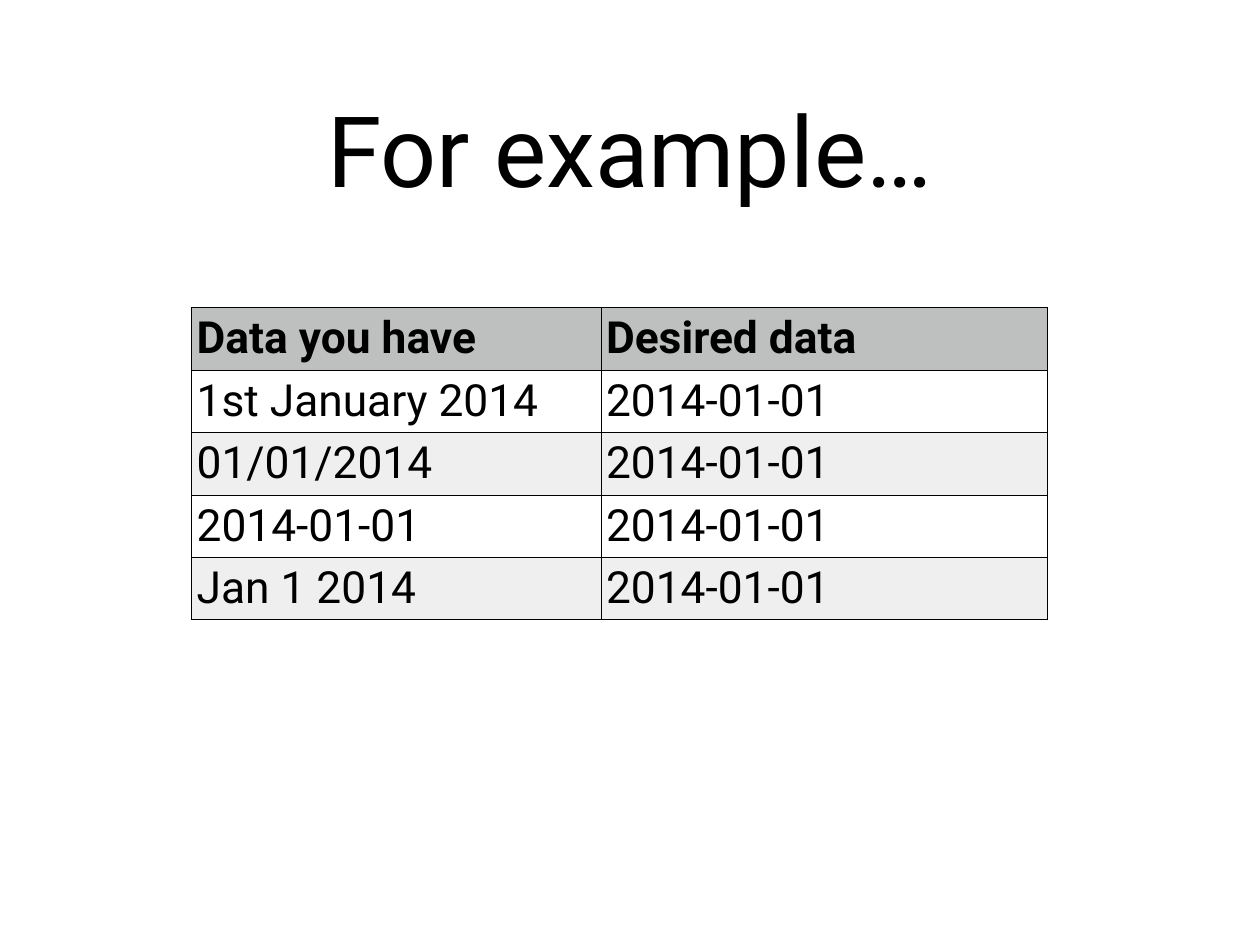
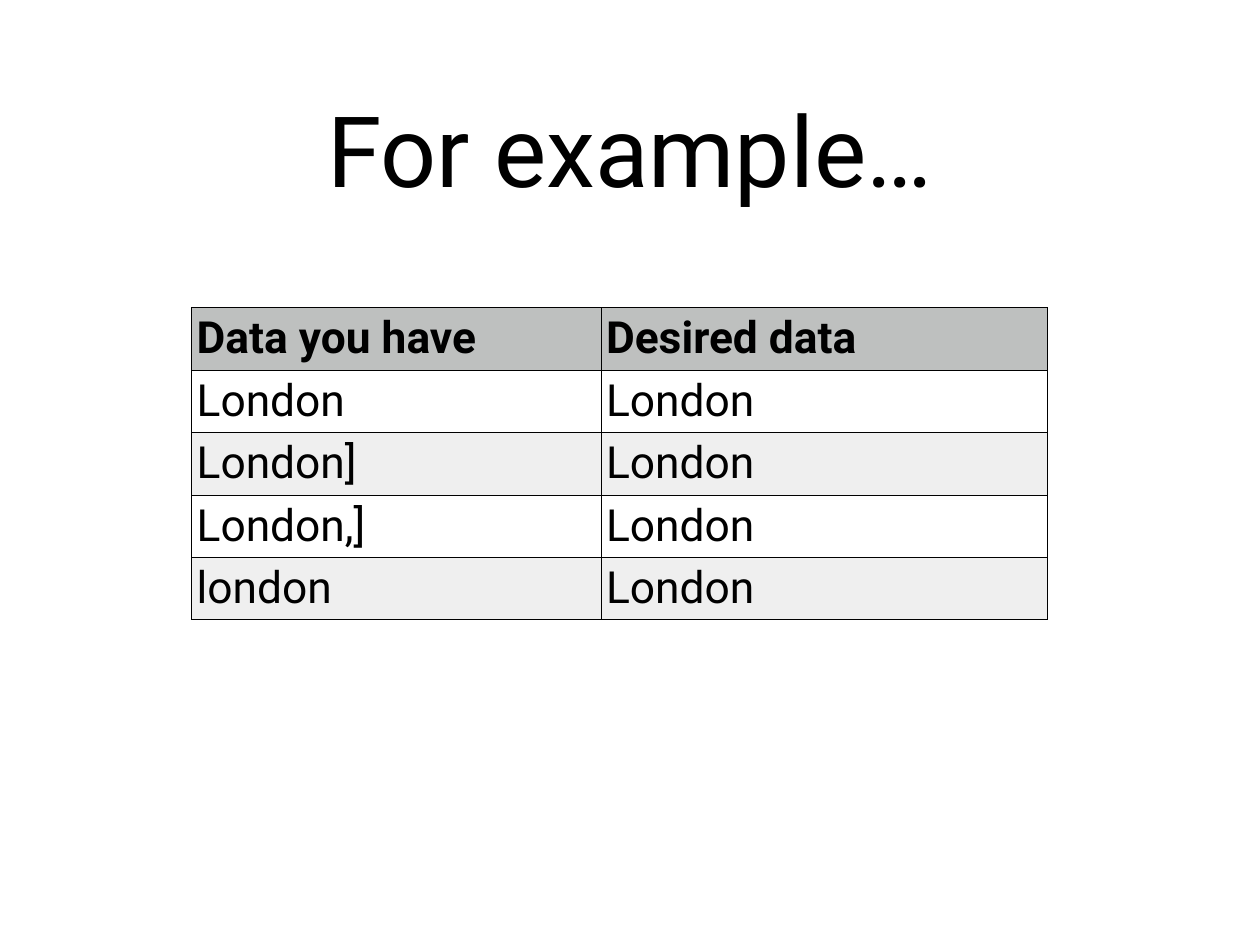
from dataclasses import dataclass

from lxml.etree import SubElement
from pptx import Presentation
from pptx.dml.color import RGBColor
from pptx.enum.text import MSO_ANCHOR, MSO_AUTO_SIZE, PP_ALIGN
from pptx.oxml.ns import qn
from pptx.presentation import Presentation as Deck
from pptx.slide import Slide
from pptx.table import _Cell as Cell
from pptx.text.text import TextFrame
from pptx.util import Inches, Length, Pt

SLIDE_WIDTH, SLIDE_HEIGHT = Inches(14.22), Inches(10.67)
FONT = "Roboto"
BLACK, HEADER_GREY, BAND_GREY = "000000", "BEC0BF", "EFEFEF"
INSET = Inches(0.06)
THIN, HEADER_RULE = Pt(0.25), Pt(0.5)
HEADER = ("Data you have", "Desired data")
TITLE = "For example…"

# Percent of the slide's width or height
TITLE_LEFT, TITLE_TOP, TITLE_WIDTH, TITLE_HEIGHT = 7.31, 4.59, 85.38, 22.12
TABLE_LEFT, TABLE_TOP, ROW_HEIGHT = 15.19, 32.52, 2.84
COLUMN_WIDTHS = (32.49, 35.44)


@dataclass(frozen=True)
class CleaningExample:
    rows: tuple[tuple[str, str], ...]


EXAMPLES = (
    CleaningExample((
        ("1st January 2014", "2014-01-01"),
        ("01/01/2014", "2014-01-01"),
        ("2014-01-01", "2014-01-01"),
        ("Jan 1 2014", "2014-01-01"),
    )),
    CleaningExample((
        ("London", "London"),
        ("London]", "London"),
        ("London,]", "London"),
        ("london", "London"),
    )),
)


def color(value: str) -> RGBColor:
    return RGBColor.from_string(value)


def across(percent: float) -> Length:
    return Length(round(SLIDE_WIDTH * percent / 100))


def down(percent: float) -> Length:
    return Length(round(SLIDE_HEIGHT * percent / 100))


def write(frame: TextFrame, text: str, size: int, align: PP_ALIGN, bold: bool = False) -> None:
    paragraph = frame.paragraphs[0]
    paragraph.alignment = align
    run = paragraph.add_run()
    run.text = text
    run.font.name = FONT
    run.font.size = Pt(size)
    run.font.bold = bold
    run.font.color.rgb = color(BLACK)


def set_insets(target: TextFrame | Cell) -> None:
    target.margin_left = target.margin_right = INSET
    target.margin_top = target.margin_bottom = INSET


def set_borders(cell: Cell, top: Length, bottom: Length) -> None:
    properties = cell._tc.get_or_add_tcPr()
    for tag, width in (("lnL", THIN), ("lnR", THIN), ("lnT", top), ("lnB", bottom)):
        line = SubElement(properties, qn(f"a:{tag}"), w=str(int(width)))
        fill = SubElement(line, qn("a:solidFill"))
        SubElement(fill, qn("a:srgbClr"), val=BLACK)


def add_title(slide: Slide) -> None:
    title = slide.shapes.title
    title.left, title.top = across(TITLE_LEFT), down(TITLE_TOP)
    title.width, title.height = across(TITLE_WIDTH), down(TITLE_HEIGHT)
    frame = title.text_frame
    frame.word_wrap = True
    frame.auto_size = MSO_AUTO_SIZE.NONE
    frame.vertical_anchor = MSO_ANCHOR.MIDDLE
    set_insets(frame)
    write(frame, TITLE, 80, PP_ALIGN.CENTER)


def format_cell(cell: Cell, text: str, row: int) -> None:
    is_header = row == 0
    set_insets(cell)
    cell.vertical_anchor = MSO_ANCHOR.TOP
    set_borders(
        cell,
        top=HEADER_RULE if row == 1 else THIN,
        bottom=HEADER_RULE if is_header else THIN,
    )
    if row % 2:
        cell.fill.background()
    else:
        cell.fill.solid()
        cell.fill.fore_color.rgb = color(HEADER_GREY if is_header else BAND_GREY)
    write(cell.text_frame, text, 36, PP_ALIGN.LEFT, bold=is_header)


def add_comparison_table(slide: Slide, example: CleaningExample) -> None:
    rows = (HEADER, *example.rows)
    table = slide.shapes.add_table(
        len(rows), len(HEADER),
        across(TABLE_LEFT), down(TABLE_TOP),
        across(sum(COLUMN_WIDTHS)), down(ROW_HEIGHT * len(rows)),
    ).table
    table.horz_banding = False
    for column, width in zip(table.columns, COLUMN_WIDTHS):
        column.width = across(width)
    for row, texts in enumerate(rows):
        for column, text in enumerate(texts):
            format_cell(table.cell(row, column), text, row)


def add_example_slide(presentation: Deck, example: CleaningExample) -> None:
    title_only = presentation.slide_layouts.get_by_name("Title Only")
    slide = presentation.slides.add_slide(title_only)
    add_title(slide)
    add_comparison_table(slide, example)


def main() -> None:
    presentation = Presentation()
    presentation.slide_width, presentation.slide_height = SLIDE_WIDTH, SLIDE_HEIGHT
    for example in EXAMPLES:
        add_example_slide(presentation, example)
    presentation.save("out.pptx")


if __name__ == "__main__":
    main()
